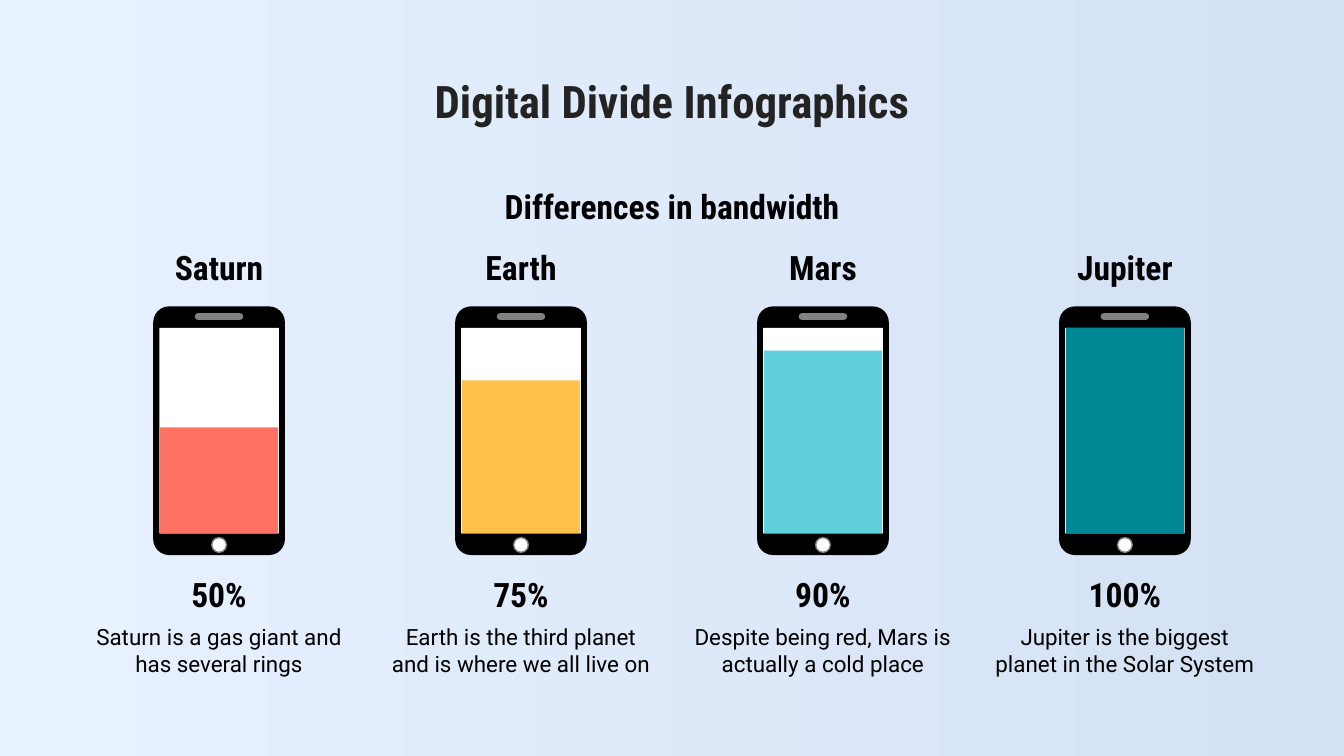
from dataclasses import dataclass

from pptx import Presentation, util as u
from pptx.dml.color import RGBColor
from pptx.enum import shapes, text
from pptx.shapes.autoshape import Shape
from pptx.shapes.shapetree import GroupShapes
from pptx.slide import Slide

HEAD = "Roboto Condensed"
BODY = "Roboto"
BLACK = "000000"
WHITE = "FFFFFF"
GREY = "818181"
RECT = shapes.MSO_SHAPE.RECTANGLE
ROUND = shapes.MSO_SHAPE.ROUNDED_RECTANGLE
OVAL = shapes.MSO_SHAPE.OVAL
TOP = text.MSO_ANCHOR.TOP
MIDDLE = text.MSO_ANCHOR.MIDDLE

FIRST = 1.63
LAST = 8.37
FLOOR = 3.97


@dataclass
class Planet:
    name: str
    share: str
    note: str
    tint: str
    level: float


PLANETS = [
    Planet("Saturn", "50%", "Saturn is a gas giant and has several rings", "FF7263", 0.79),
    Planet("Earth", "75%", "Earth is the third planet and is where we all live on", "FFC14A", 1.14),
    Planet("Mars", "90%", "Despite being red, Mars is actually a cold place", "5FD0DB", 1.36),
    Planet("Jupiter", "100%", "Jupiter is the biggest planet in the Solar System", "008897", 1.53),
]


def shade(code: str) -> RGBColor:
    return RGBColor.from_string(code)


def add_part(group: GroupShapes, kind: shapes.MSO_SHAPE, mid: float, top: float,
             width: float, height: float, tint: str) -> Shape:
    part = group.add_shape(kind, u.Inches(mid - width / 2), u.Inches(top),
                           u.Inches(width), u.Inches(height))
    part.shadow.inherit = False
    part.fill.solid()
    part.fill.fore_color.rgb = shade(tint)
    part.line.fill.background()
    return part


def add_label(slide: Slide, words: str, mid: float, top: float, width: float,
              height: float, size: int = 18, font: str = HEAD, bold: bool = True,
              tint: str = BLACK, anchor: text.MSO_ANCHOR = MIDDLE) -> None:
    box = slide.shapes.add_textbox(u.Inches(mid - width / 2), u.Inches(top),
                                   u.Inches(width), u.Inches(height))
    frame = box.text_frame
    frame.word_wrap = True
    frame.vertical_anchor = anchor
    frame.margin_left = frame.margin_right = u.Inches(0.1)
    frame.margin_top = frame.margin_bottom = u.Inches(0.1)
    frame.text = words
    line = frame.paragraphs[0]
    line.alignment = text.PP_ALIGN.CENTER
    for run in line.runs:
        run.font.size = u.Pt(size)
        run.font.name = font
        run.font.bold = bold
        run.font.color.rgb = shade(tint)


def add_phone(slide: Slide, planet: Planet, mid: float) -> None:
    group = slide.shapes.add_group_shape().shapes
    case = add_part(group, ROUND, mid, 2.28, 0.98, 1.85, BLACK)
    case.adjustments[0] = 0.12
    add_part(group, RECT, mid, 2.44, 0.89, FLOOR - 2.44, WHITE)
    slot = add_part(group, ROUND, mid, 2.33, 0.36, 0.05, GREY)
    slot.adjustments[0] = 0.5
    knob = add_part(group, OVAL, mid, 4, 0.11, 0.11, WHITE)
    knob.line.color.rgb = shade(GREY)
    knob.line.width = u.Pt(0.75)
    add_part(group, RECT, mid, FLOOR - planet.level, 0.88, planet.level, planet.tint)


def add_planet(slide: Slide, planet: Planet, mid: float) -> None:
    add_label(slide, planet.name, mid, 1.8, 0.98, 0.38)
    add_phone(slide, planet, mid)
    add_label(slide, planet.share, mid, 4.23, 2.17, 0.38)
    add_label(slide, planet.note, mid, 4.54, 2.17, 0.6,
              size=12, font=BODY, bold=False, anchor=TOP)


def paint_back(slide: Slide) -> None:
    fill = slide.background.fill
    fill.gradient()
    fill.gradient_angle = 0
    for stop, tint in zip(fill.gradient_stops, ("E8F1FF", "D4E1F4")):
        stop.color.rgb = shade(tint)


def main() -> None:
    deck = Presentation()
    deck.slide_width = u.Inches(10)
    deck.slide_height = u.Inches(5.625)
    slide = deck.slides.add_slide(deck.slide_layouts[6])
    paint_back(slide)
    add_label(slide, "Digital Divide Infographics", 5, 0.45, 9, 0.63,
              size=24, tint="232323", anchor=TOP)
    add_label(slide, "Differences in bandwidth", 5, 1.34, 6.75, 0.38)
    step = (LAST - FIRST) / (len(PLANETS) - 1)
    for i, planet in enumerate(PLANETS):
        add_planet(slide, planet, FIRST + i * step)
    deck.save("out.pptx")


if __name__ == "__main__":
    main()
